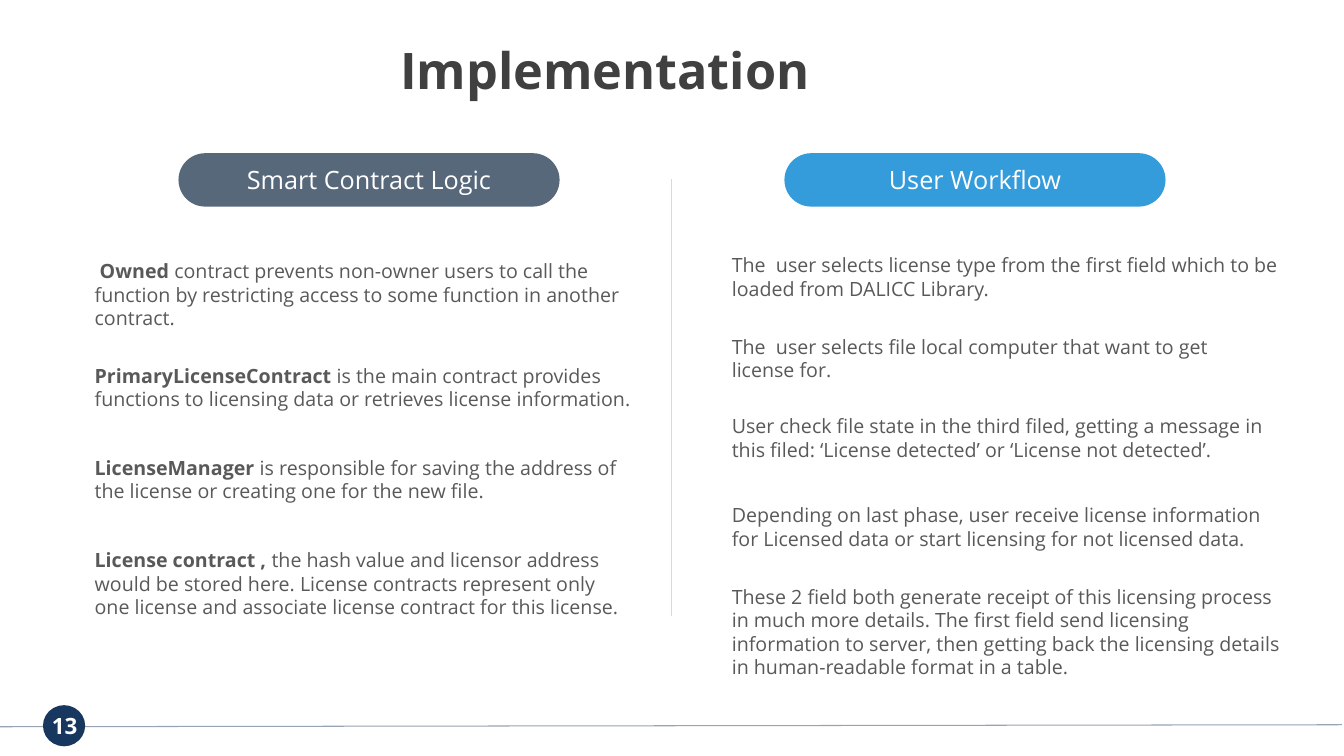
import pptx
import pptx.util
import pptx.dml.color
import pptx.enum.shapes
import pptx.enum.text
import pptx.oxml.ns
import lxml.etree

Inches = pptx.util.Inches
Pt = pptx.util.Pt
SHAPE = pptx.enum.shapes.MSO_SHAPE
ANCHOR = pptx.enum.text.MSO_ANCHOR
ALIGN = pptx.enum.text.PP_ALIGN

COLORS = {
    "title": "404040",
    "body": "595959",
    "white": "FFFFFF",
    "slate": "57687B",
    "blue": "359CDB",
    "navy": "17375E",
    "divider": "D9D9D9",
    "footer": "96A4B4",
}

CONTRACTS = [
    (2.52, 0.81, " Owned ",
     "contract prevents non-owner users to call the function by restricting "
     "access to some function in another contract."),
    (3.56, 0.57, "PrimaryLicenseContract",
     " is the main contract provides functions to licensing data or "
     "retrieves license information."),
    (4.47, 0.57, "LicenseManager",
     " is responsible for saving the address of the license or creating one "
     "for the new file."),
    (5.39, 0.81, "License contract , ",
     "the hash value and licensor address would be stored here. License "
     "contracts represent only one license and associate license contract "
     "for this license."),
]

STEPS = [
    (2.46, 5.65, 0.57,
     "The  user selects license type from the first field which to be loaded "
     "from DALICC Library."),
    (3.27, 5.49, 0.57,
     "The  user selects file local computer that want to get license for."),
    (4.06, 5.65, 0.57,
     "User check file state in the third filed, getting a message in this "
     "filed: ‘License detected’ or ‘License not detected’."),
    (4.94, 5.65, 0.57,
     "Depending on last phase, user receive license information for Licensed "
     "data or start licensing for not licensed data."),
    (5.75, 5.65, 1.04,
     "These 2 field both generate receipt of this licensing process in much "
     "more details. The first field send licensing information to server, "
     "then getting back the licensing details in human-readable format in a "
     "table."),
]


def rgb(name):
    return pptx.dml.color.RGBColor.from_string(COLORS[name])


def add_text(p, text, font="Open Sans", size=14, color="body", bold=False, align=None):
    if align is not None:
        p.alignment = align
    r = p.add_run()
    r.text = text
    r.font.name = font
    r.font.size = Pt(size)
    r.font.bold = bold
    r.font.color.rgb = rgb(color)


class SlideBuilder:
    def __init__(self, s, font):
        self.s = s
        self.font = font

    def title(self, text, x, y, w, h):
        sp = self.s.shapes.title
        sp.left, sp.top, sp.width, sp.height = map(Inches, (x, y, w, h))
        tf = sp.text_frame
        tf.word_wrap = True
        tf.auto_size = pptx.enum.text.MSO_AUTO_SIZE.NONE
        tf.vertical_anchor = ANCHOR.MIDDLE
        tf.margin_left = tf.margin_right = Inches(0.13)
        tf.margin_top = tf.margin_bottom = Inches(0.07)
        add_text(tf.paragraphs[0], text, font=self.font, size=36,
                 color="title", bold=True, align=ALIGN.CENTER)

    def line(self, x1, y1, x2, y2, color):
        sp = self.s.shapes.add_connector(
            pptx.enum.shapes.MSO_CONNECTOR.STRAIGHT,
            Inches(x1), Inches(y1), Inches(x2), Inches(y2))
        sp.line.color.rgb = rgb(color)
        sp.line.width = Pt(0.75)
        spPr = sp._element.spPr
        lxml.etree.SubElement(spPr, pptx.oxml.ns.qn("a:effectLst"))

    def shape(self, kind, x, y, w, h, color):
        sp = self.s.shapes.add_shape(kind, Inches(x), Inches(y), Inches(w), Inches(h))
        sp.shadow.inherit = False
        sp.fill.solid()
        sp.fill.fore_color.rgb = rgb(color)
        sp.line.fill.background()
        return sp

    def pill(self, text, x, color):
        sp = self.shape(SHAPE.ROUNDED_RECTANGLE, x, 1.52, 3.78, 0.53, color)
        sp.adjustments[0] = 0.5
        tf = sp.text_frame
        tf.vertical_anchor = ANCHOR.MIDDLE
        add_text(tf.paragraphs[0], text, font=self.font, size=18,
                 color="white", align=ALIGN.CENTER)

    def text(self, x, y, w, h, runs, **style):
        sp = self.s.shapes.add_textbox(Inches(x), Inches(y), Inches(w), Inches(h))
        tf = sp.text_frame
        tf.word_wrap = True
        tf.auto_size = pptx.enum.text.MSO_AUTO_SIZE.SHAPE_TO_FIT_TEXT
        for text, bold in runs:
            add_text(tf.paragraphs[0], text, font=self.font, bold=bold, **style)

    def page_number(self, number):
        sp = self.shape(SHAPE.OVAL, 0.44, 7.01, 0.39, 0.38, "navy")
        sp.line.color.rgb = rgb("navy")
        sp.line.width = Pt(2)
        self.text(0.4, 7.02, 0.48, 0.37, [(number, True)],
                  size=16, color="white", align=ALIGN.CENTER)


def main():
    prs = pptx.Presentation()
    prs.slide_width = Inches(13.33)
    prs.slide_height = Inches(7.5)
    s = prs.slides.add_slide(prs.slide_layouts[5])
    s.background.fill.solid()
    s.background.fill.fore_color.rgb = rgb("white")

    b = SlideBuilder(s, "Open Sans")
    b.line(13.31, 7.19, 0, 7.21, "footer")
    b.title("Implementation", 0, 0.3, 12, 0.78)
    b.line(6.66, 1.78, 6.66, 6.11, "divider")
    b.pill("Smart Contract Logic", 1.77, "slate")
    b.pill("User Workflow", 7.78, "blue")
    for y, h, name, role in CONTRACTS:
        b.text(0.84, y, 5.55, h, [(name, True), (role, False)])
    for y, w, h, step in STEPS:
        b.text(7.16, y, w, h, [(step, False)])
    b.page_number("13")

    prs.save("out.pptx")


if __name__ == "__main__":
    main()
